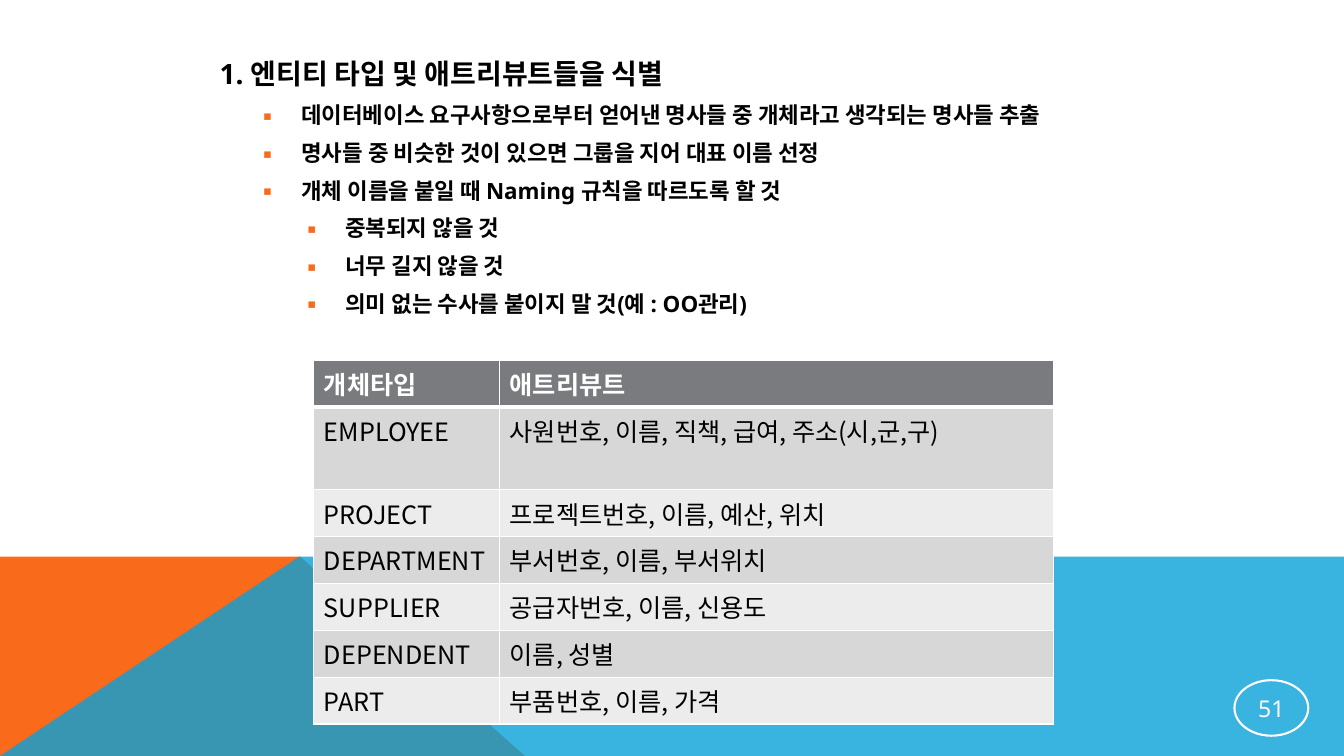
from lxml.etree import SubElement
from pptx import Presentation
from pptx.dml.color import RGBColor
from pptx.enum.shapes import MSO_SHAPE as Preset
from pptx.enum.text import MSO_ANCHOR as Anchor, MSO_AUTO_SIZE as AutoSize, PP_ALIGN as Align
from pptx.oxml.ns import qn
from pptx.util import Cm, Pt

LATIN, KOREAN = "Noto Sans", "Noto Sans CJK KR"
WHITE, BLACK, ORANGE, BLUE, GRAY = "FFFFFF", "000000", "F96A1B", "08A1D9", "797B7E"
BANDS = ("D7D7D8", "ECECEC")
WIDTH, HEIGHT, HORIZON = 33.87, 19.05, 14.03

OUTLINE = [
    (0, "1. 엔티티 타입 및 애트리뷰트들을 식별"),
    (1, "데이터베이스 요구사항으로부터 얻어낸 명사들 중 개체라고 생각되는 명사들 추출"),
    (1, "명사들 중 비슷한 것이 있으면 그룹을 지어 대표 이름 선정"),
    (1, "개체 이름을 붙일 때 Naming 규칙을 따르도록 할 것"),
    (2, "중복되지 않을 것"),
    (2, "너무 길지 않을 것"),
    (2, "의미 없는 수사를 붙이지 말 것(예 : OO관리)"),
]
# level: (font size, line height, left indent in cm, hanging indent in cm)
LEVELS = {0: (20, 33.6, 0, 0), 1: (16, 26.9, 2.06, 0.96), 2: (16, 26.9, 3.17, 0.96)}
ENTITIES = [
    ("개체타입", "애트리뷰트"),
    ("EMPLOYEE", "사원번호, 이름, 직책, 급여, 주소(시,군,구)"),
    ("PROJECT", "프로젝트번호, 이름, 예산, 위치"),
    ("DEPARTMENT", "부서번호, 이름, 부서위치"),
    ("SUPPLIER", "공급자번호, 이름, 신용도"),
    ("DEPENDENT", "이름, 성별"),
    ("PART", "부품번호, 이름, 가격"),
]
COLUMNS, ROW, TALL_ROW = (4.68, 13.95), 1.18, 2.09
BACKDROP = [
    (ORANGE, 100, [(0, HEIGHT), (0, HORIZON), (7.57, HORIZON), (13.23, HEIGHT)]),
    (BLUE, 80, [(0, HEIGHT), (7.54, HORIZON), (WIDTH, HORIZON), (WIDTH, HEIGHT)]),
]


def color(value):
    """Turn a hex string into a colour."""
    return RGBColor.from_string(value)


def apply(target, formats):
    """Set each attribute named in formats."""
    for name, value in formats.items():
        setattr(target, name, value)


def write(para, text, size, tint, bold=False, latin=LATIN):
    """Add one formatted run to a paragraph."""
    span = para.add_run()
    span.text = text
    apply(span.font, {"size": Pt(size), "bold": bold, "name": latin})
    span.font.color.rgb = color(tint)
    SubElement(span.font._element, qn("a:ea"), typeface=KOREAN)


def set_bullet(para, left, hanging):
    """Set the indents and, for a hanging paragraph, an orange square bullet."""
    props = para._p.get_or_add_pPr()
    props.set("marL", str(Cm(left)))
    props.set("indent", str(-Cm(hanging)))
    if not hanging:
        SubElement(props, qn("a:buNone"))
        return
    tint = SubElement(props, qn("a:buClr"))
    SubElement(tint, qn("a:srgbClr"), val=ORANGE)
    SubElement(props, qn("a:buFont"), typeface=LATIN)
    SubElement(props, qn("a:buChar"), char="▪")


def set_borders(cell, bottom):
    """Draw white cell borders, with the given width in points at the bottom."""
    props = cell._tc.get_or_add_tcPr()
    for index, (side, width) in enumerate({"L": 1, "R": 1, "T": 1, "B": bottom}.items()):
        line = props.makeelement(qn(f"a:ln{side}"), {"w": str(Pt(width))})
        fill = SubElement(line, qn("a:solidFill"))
        SubElement(fill, qn("a:srgbClr"), val=WHITE)
        props.insert(index, line)


def add_backdrop(page):
    """Draw the coloured bands at the foot of the slide."""
    for tint, opacity, corners in BACKDROP:
        points = [(Cm(x), Cm(y)) for x, y in corners]
        builder = page.shapes.build_freeform(*points[0])
        builder.add_line_segments(points[1:], close=True)
        band = builder.convert_to_shape()
        band.shadow.inherit = False
        band.line.fill.background()
        band.fill.solid()
        band.fill.fore_color.rgb = color(tint)
        if opacity < 100:
            swatch = band._element.spPr.find(".//" + qn("a:srgbClr"))
            SubElement(swatch, qn("a:alpha"), val=str(opacity * 1000))


def add_outline(page):
    """Fill the body placeholder with the numbered heading and its bullets."""
    page.shapes._spTree.remove(page.shapes.title._element)
    body = page.placeholders[1]
    apply(body, {"left": Cm(5.28), "top": Cm(0.97), "width": Cm(23.7), "height": Cm(13.13)})
    frame = body.text_frame
    apply(frame, {"word_wrap": True, "auto_size": AutoSize.NONE, "vertical_anchor": Anchor.TOP})
    for index, (level, text) in enumerate(OUTLINE):
        para = frame.add_paragraph() if index else frame.paragraphs[0]
        size, height, left, hanging = LEVELS[level]
        apply(para, {"level": level, "line_spacing": Pt(height),
                     "space_before": Pt(0), "space_after": Pt(0)})
        set_bullet(para, left, hanging)
        write(para, text, size, BLACK, bold=True)


def add_entities(page):
    """Add the table of entity types and their attributes."""
    heights = [TALL_ROW if row == 1 else ROW for row in range(len(ENTITIES))]
    table = page.shapes.add_table(len(ENTITIES), len(COLUMNS), Cm(7.91), Cm(9.07),
                                  Cm(sum(COLUMNS)), Cm(sum(heights))).table
    for column, width in zip(table.columns, COLUMNS):
        column.width = Cm(width)
    for row, texts in enumerate(ENTITIES):
        header = row == 0
        table.rows[row].height = Cm(heights[row])
        for column, text in enumerate(texts):
            cell = table.cell(row, column)
            cell.fill.solid()
            cell.fill.fore_color.rgb = color(GRAY if header else BANDS[(row - 1) % 2])
            set_borders(cell, 3 if header else 1)
            write(cell.text_frame.paragraphs[0], text, 18,
                  WHITE if header else BLACK, header, KOREAN)


def add_page_number(page):
    """Add the page number in a white ring."""
    ring = page.shapes.add_shape(Preset.OVAL, Cm(31.11), Cm(17.14), Cm(1.86), Cm(1.4))
    ring.shadow.inherit = False
    ring.fill.background()
    ring.line.color.rgb = color(WHITE)
    ring.line.width = Pt(1.5)
    frame = ring.text_frame
    apply(frame, {f"margin_{side}": Cm(0.03) for side in ("left", "right", "top", "bottom")})
    frame.vertical_anchor = Anchor.MIDDLE
    frame.paragraphs[0].alignment = Align.CENTER
    write(frame.paragraphs[0], "51", 16.5, WHITE)


deck = Presentation()
apply(deck, {"slide_width": Cm(WIDTH), "slide_height": Cm(HEIGHT)})
page = deck.slides.add_slide(deck.slide_layouts[1])
add_backdrop(page)
add_outline(page)
add_entities(page)
add_page_number(page)
deck.save("out.pptx")
